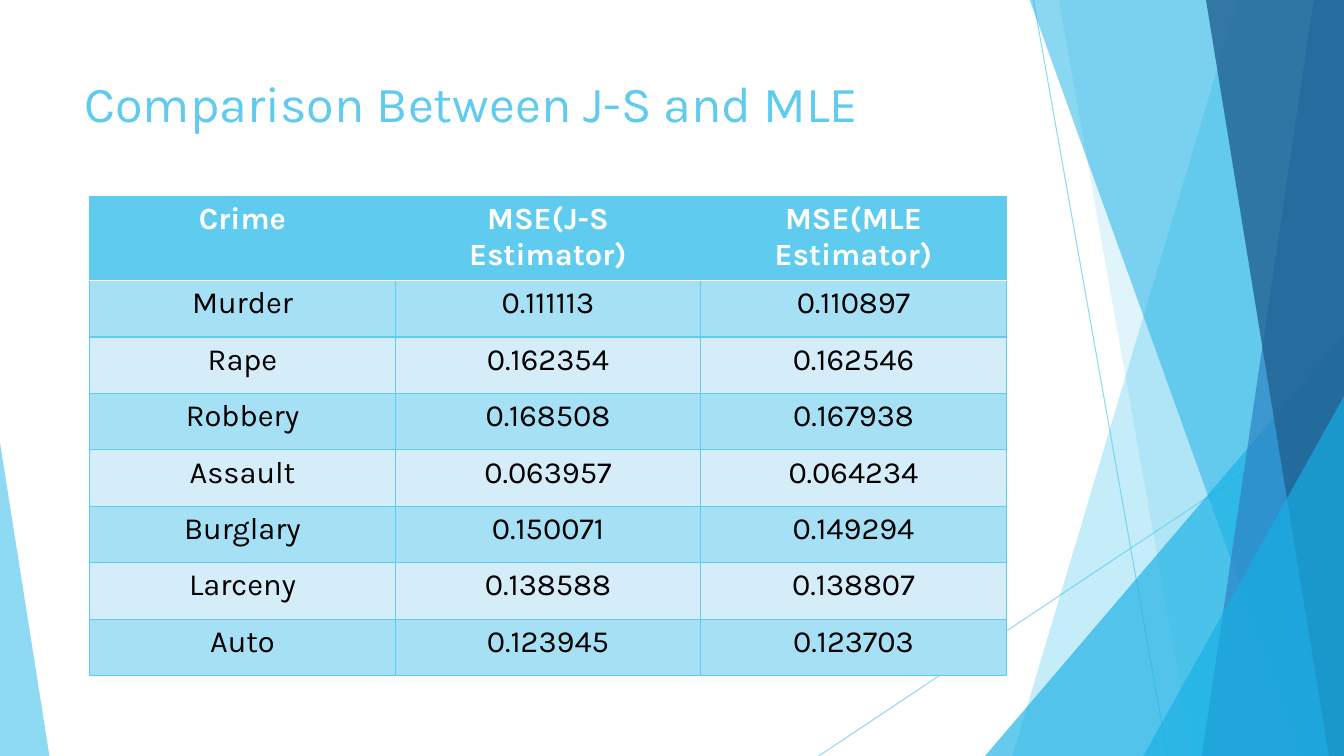
"""Build a slide comparing J-S and MLE errors by crime in a table over blue facets."""
from dataclasses import dataclass

import pptx
import pptx.dml.color
import pptx.enum.shapes
import pptx.enum.text
import pptx.oxml
import pptx.oxml.ns
import pptx.util
from lxml import etree

Inches = pptx.util.Inches
Pt = pptx.util.Pt
RGBColor = pptx.dml.color.RGBColor
qn = pptx.oxml.ns.qn

SKY = RGBColor(0x5F, 0xCB, 0xEF)
CYAN = RGBColor(0x17, 0xB0, 0xE4)
BLUE = RGBColor(0x2E, 0x83, 0xC3)
NAVY = RGBColor(0x22, 0x62, 0x92)
DARK_BAND = RGBColor(0xA6, 0xE0, 0xF5)
LIGHT_BAND = RGBColor(0xD5, 0xED, 0xF9)
WHITE = RGBColor(0xFF, 0xFF, 0xFF)
BLACK = RGBColor(0, 0, 0)

FONT = "Karla"
SLIDE_WIDTH, SLIDE_HEIGHT = 13.33, 7.5
FACET_TOP = -0.01
COLUMN_WIDTH, ROW_HEIGHT = 3.03, 0.56


@dataclass(frozen=True)
class Ray:
    """Thin line between two points."""
    x1: float
    y1: float
    x2: float
    y2: float


@dataclass(frozen=True)
class Facet:
    """Full-height panel from a slanted left edge to the slide's right edge."""
    top_x: float
    bottom_x: float
    color: RGBColor
    opacity: int


@dataclass(frozen=True)
class Corner:
    """Triangle standing on the bottom edge with its apex at one side."""
    left: float
    top: float
    width: float
    apex: float
    color: RGBColor
    opacity: int


BACKDROP = [
    Ray(10.25, 0, 11.58, 7.5),
    Ray(13.33, 4.03, 8.12, 7.5),
    Facet(12.28, 10.04, SKY, 36),
    Facet(10.5, 11.83, SKY, 20),
    Corner(9.77, 3.33, 3.56, 1, CYAN, 66),
    Facet(10.21, 12.91, CYAN, 50),
    Facet(13.03, 11.92, BLUE, 70),
    Facet(11.96, 13.18, NAVY, 80),
    Corner(11.34, 3.93, 1.99, 1, CYAN, 66),
    Corner(0, 4.39, 0.49, 0, SKY, 70),
]

ERRORS = [
    ("Crime", "MSE(J-S Estimator)", "MSE(MLE Estimator)"),
    ("Murder", "0.111113", "0.110897"),
    ("Rape", "0.162354", "0.162546"),
    ("Robbery", "0.168508", "0.167938"),
    ("Assault", "0.063957", "0.064234"),
    ("Burglary", "0.150071", "0.149294"),
    ("Larceny", "0.138588", "0.138807"),
    ("Auto", "0.123945", "0.123703"),
]


def set_opacity(shape, percent: int) -> None:
    """Make every colour of the shape partly transparent."""
    for color in shape._element.spPr.iter(qn("a:srgbClr")):
        etree.SubElement(color, qn("a:alpha"), val=str(percent * 1000))


def paint(shape, color: RGBColor, opacity: int) -> None:
    """Give a shape a translucent fill without outline or shadow."""
    shape.shadow.inherit = False
    shape.fill.solid()
    shape.fill.fore_color.rgb = color
    shape.line.fill.background()
    set_opacity(shape, opacity)


def draw_ray(slide, ray: Ray) -> None:
    """Draw one thin line."""
    line = slide.shapes.add_connector(
        pptx.enum.shapes.MSO_CONNECTOR.STRAIGHT,
        Inches(ray.x1), Inches(ray.y1), Inches(ray.x2), Inches(ray.y2))
    line.line.color.rgb = SKY
    line.line.width = Pt(0.75)
    set_opacity(line, 70)
    etree.SubElement(line._element.spPr, qn("a:effectLst"))


def draw_facet(slide, facet: Facet) -> None:
    """Draw one slanted panel."""
    outline = slide.shapes.build_freeform(
        Inches(facet.top_x), Inches(FACET_TOP), scale=1.0)
    corners = [(SLIDE_WIDTH, FACET_TOP), (SLIDE_WIDTH, SLIDE_HEIGHT),
               (facet.bottom_x, SLIDE_HEIGHT)]
    outline.add_line_segments([(Inches(x), Inches(y)) for x, y in corners], close=True)
    paint(outline.convert_to_shape(), facet.color, facet.opacity)


def draw_corner(slide, corner: Corner) -> None:
    """Draw one triangle."""
    triangle = slide.shapes.add_shape(
        pptx.enum.shapes.MSO_SHAPE.ISOSCELES_TRIANGLE,
        Inches(corner.left), Inches(corner.top),
        Inches(corner.width), Inches(SLIDE_HEIGHT - corner.top))
    triangle.adjustments[0] = corner.apex
    paint(triangle, corner.color, corner.opacity)


def write(frame, text: str, *, size: float, color: RGBColor, bold: bool = False,
          align=pptx.enum.text.PP_ALIGN.LEFT) -> None:
    """Put formatted text in a text frame."""
    frame.word_wrap = True
    paragraph = frame.paragraphs[0]
    paragraph.alignment = align
    run = paragraph.add_run()
    run.text = text
    run.font.name = FONT
    run.font.size = Pt(size)
    run.font.bold = bold
    run.font.color.rgb = color


def set_borders(cell, row: int) -> None:
    """Outline a cell in blue, with a white rule under the header."""
    properties = cell._tc.get_or_add_tcPr()
    white_side = {0: "lnB", 1: "lnT"}.get(row)
    for position, side in enumerate(("lnL", "lnR", "lnT", "lnB")):
        color, width = (WHITE, 1.5) if side == white_side else (SKY, 1)
        border = etree.Element(qn(f"a:{side}"), w=str(Pt(width)))
        fill = etree.SubElement(border, qn("a:solidFill"))
        etree.SubElement(fill, qn("a:srgbClr"), val=str(color))
        properties.insert(position, border)


def draw_errors(slide) -> None:
    """Draw the table of mean squared errors."""
    rows, columns = len(ERRORS), len(ERRORS[0])
    table = slide.shapes.add_table(
        rows, columns, Inches(0.89), Inches(1.95),
        Inches(columns * COLUMN_WIDTH), Inches(rows * ROW_HEIGHT)).table
    for column in table.columns:
        column.width = Inches(COLUMN_WIDTH)
    for row, record in enumerate(ERRORS):
        table.rows[row].height = Inches(ROW_HEIGHT)
        header = row == 0
        band = DARK_BAND if row % 2 else LIGHT_BAND
        for column, text in enumerate(record):
            cell = table.cell(row, column)
            cell.fill.solid()
            cell.fill.fore_color.rgb = SKY if header else band
            set_borders(cell, row)
            write(cell.text_frame, text, size=22, bold=header,
                  color=WHITE if header else BLACK,
                  align=pptx.enum.text.PP_ALIGN.CENTER)


def main() -> None:
    """Build and save the slide."""
    deck = pptx.Presentation()
    deck.slide_width, deck.slide_height = Inches(SLIDE_WIDTH), Inches(SLIDE_HEIGHT)
    slide = deck.slides.add_slide(deck.slide_layouts[6])
    draw = {Ray: draw_ray, Facet: draw_facet, Corner: draw_corner}
    for part in BACKDROP:
        draw[type(part)](slide, part)
    title = slide.shapes.add_textbox(Inches(0.74), Inches(0.67), Inches(9.4), Inches(1.44))
    write(title.text_frame, "Comparison Between J-S and MLE", size=36, color=SKY)
    draw_errors(slide)
    deck.save("out.pptx")


if __name__ == "__main__":
    main()
